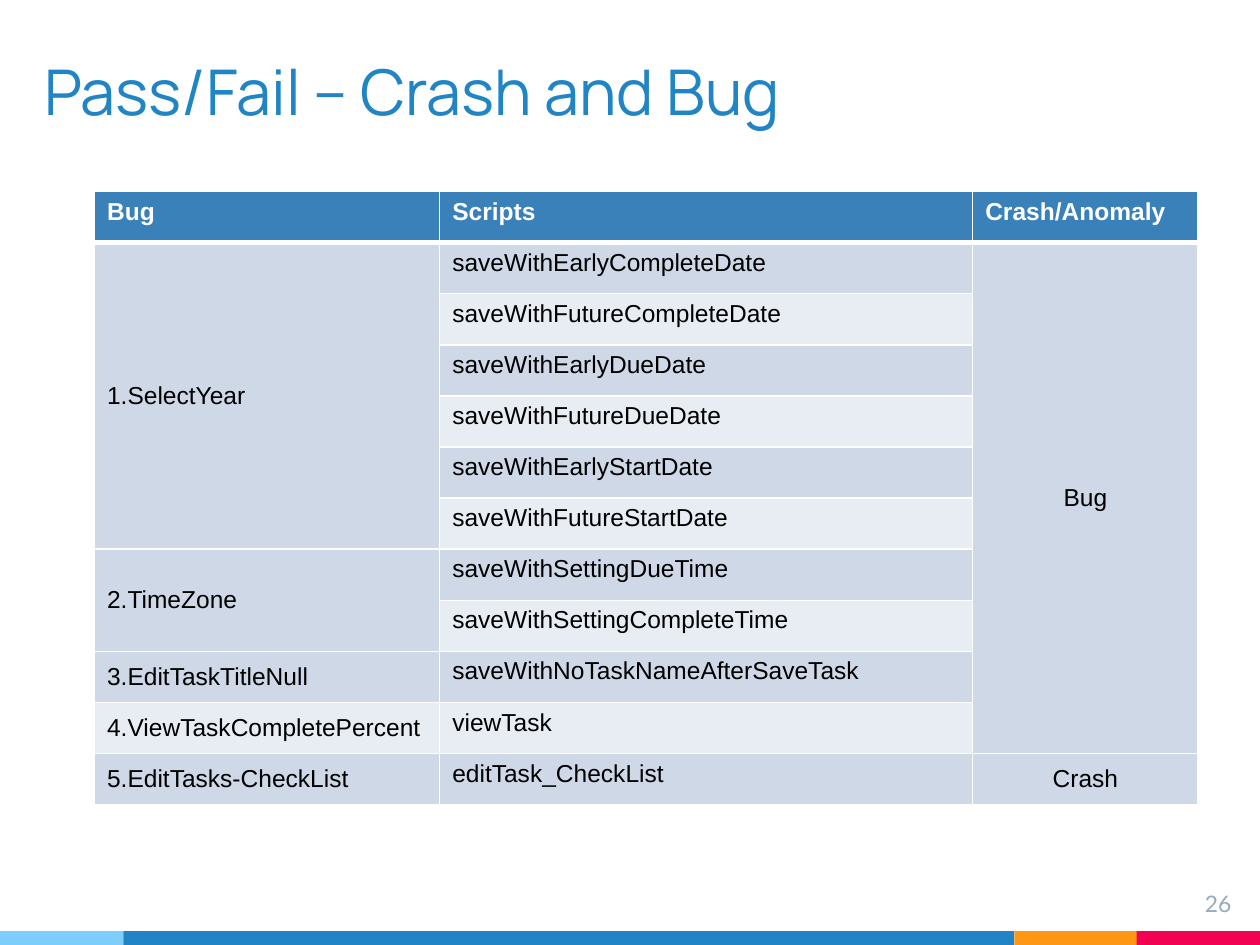
from lxml import etree
from pptx import Presentation
from pptx.dml.color import RGBColor
from pptx.enum.shapes import MSO_SHAPE
from pptx.enum.text import MSO_ANCHOR, PP_ALIGN
from pptx.oxml.ns import qn
from pptx.util import Inches, Pt

COLORS = {
    "blue": "2185C5",
    "sky": "7ECEFD",
    "orange": "FF9715",
    "red": "F20253",
    "gray": "97ABBC",
    "header": "3A81BA",
    "dark_band": "CED8E7",
    "light_band": "E8EDF3",
    "white": "FFFFFF",
    "black": "000000",
}
HEADINGS = ["Bug", "Scripts", "Crash/Anomaly"]
BUGS = [
    ("1.SelectYear", [
        "saveWithEarlyCompleteDate",
        "saveWithFutureCompleteDate",
        "saveWithEarlyDueDate",
        "saveWithFutureDueDate",
        "saveWithEarlyStartDate",
        "saveWithFutureStartDate",
    ]),
    ("2.TimeZone", ["saveWithSettingDueTime", "saveWithSettingCompleteTime"]),
    ("3.EditTaskTitleNull", ["saveWithNoTaskNameAfterSaveTask"]),
    ("4.ViewTaskCompletePercent", ["viewTask"]),
    ("5.EditTasks-CheckList", ["editTask_CheckList"]),
]
OUTCOMES = [("Bug", 10), ("Crash", 1)]
COLUMN_WIDTHS = [2.74, 4.23, 1.79]
ROW_HEIGHT = 4.87 / 12
FOOTER_BARS = [
    (0, 0.98, "sky"),
    (0.98, 7.07, "blue"),
    (8.05, 0.98, "orange"),
    (9.02, 0.98, "red"),
]


def rgb(name):
    """Return the named palette colour."""
    return RGBColor.from_string(COLORS[name])


def format_text(frame, font_name, size, color, bold=False, align=PP_ALIGN.LEFT):
    """Format the single paragraph of a text frame."""
    paragraph = frame.paragraphs[0]
    paragraph.alignment = align
    font = paragraph.font
    font.name, font.size, font.bold = font_name, Pt(size), bold
    font.color.rgb = rgb(color)


def set_insets(frame):
    """Give a text frame equal insets on all sides."""
    frame.margin_left = frame.margin_right = Inches(0.1)
    frame.margin_top = frame.margin_bottom = Inches(0.1)


def add_footer_bar(slide, left, width, color):
    """Add one coloured bar along the bottom edge."""
    bar = slide.shapes.add_shape(
        MSO_SHAPE.RECTANGLE, Inches(left), Inches(7.39), Inches(width), Inches(0.11))
    bar.shadow.inherit = False
    bar.fill.solid()
    bar.fill.fore_color.rgb = rgb(color)
    bar.line.fill.background()


def set_title(slide, text):
    """Place and format the slide title."""
    title = slide.shapes.title
    title.left, title.top = Inches(0.25), Inches(0.38)
    title.width, title.height = Inches(9.75), Inches(0.74)
    frame = title.text_frame
    frame.text = text
    frame.vertical_anchor = MSO_ANCHOR.BOTTOM
    set_insets(frame)
    format_text(frame, "Manrope", 36, "blue")


def add_page_number(slide, number):
    """Add the page number at the lower right."""
    box = slide.shapes.add_textbox(Inches(9.27), Inches(6.96), Inches(0.6), Inches(0.46))
    frame = box.text_frame
    frame.word_wrap = True
    frame.text = number
    set_insets(frame)
    format_text(frame, "Lato", 13, "gray", align=PP_ALIGN.RIGHT)


def style_cell(cell, fill, bottom_width=1, top_width=1):
    """Fill a cell and draw its white borders."""
    properties = cell._tc.get_or_add_tcPr()
    widths = {"a:lnL": 1, "a:lnR": 1, "a:lnT": top_width, "a:lnB": bottom_width}
    for tag, width in widths.items():
        line = etree.SubElement(properties, qn(tag), w=str(Pt(width)))
        solid = etree.SubElement(line, qn("a:solidFill"))
        etree.SubElement(solid, qn("a:srgbClr"), val=COLORS["white"])
    cell.fill.solid()
    cell.fill.fore_color.rgb = rgb(fill)


def write_cell(cell, text, color="black", bold=False, align=PP_ALIGN.LEFT,
               anchor=MSO_ANCHOR.TOP):
    """Write formatted text into a cell."""
    cell.text = text
    cell.vertical_anchor = anchor
    format_text(cell.text_frame, "Arial", 14, color, bold, align)


def write_groups(table, column, groups, align):
    """Merge and label consecutive row groups in a column."""
    row = 1
    for label, count in groups:
        cell = table.cell(row, column)
        if count > 1:
            cell.merge(table.cell(row + count - 1, column))
        write_cell(cell, label, align=align, anchor=MSO_ANCHOR.MIDDLE)
        row += count


def add_bug_table(slide):
    """Add the table of bugs, scripts and outcomes."""
    scripts = [script for _, group in BUGS for script in group]
    row_count = len(scripts) + 1
    table = slide.shapes.add_table(
        row_count, len(HEADINGS), Inches(0.75), Inches(1.52),
        Inches(sum(COLUMN_WIDTHS)), Inches(ROW_HEIGHT * row_count)).table
    for column, width in zip(table.columns, COLUMN_WIDTHS):
        column.width = Inches(width)
    for index, row in enumerate(table.rows):
        row.height = Inches(ROW_HEIGHT)
        band = "dark_band" if index % 2 else "light_band"
        for cell in row.cells:
            style_cell(cell, band if index else "header",
                       bottom_width=1 if index else 3,
                       top_width=3 if index == 1 else 1)
    for column, heading in enumerate(HEADINGS):
        write_cell(table.cell(0, column), heading, "white", bold=True)
    for row, script in enumerate(scripts, start=1):
        write_cell(table.cell(row, 1), script)
    write_groups(table, 0, [(bug, len(group)) for bug, group in BUGS], PP_ALIGN.LEFT)
    write_groups(table, 2, OUTCOMES, PP_ALIGN.CENTER)


def main():
    """Build and save the slide."""
    presentation = Presentation()
    presentation.slide_width, presentation.slide_height = Inches(10), Inches(7.5)
    slide = presentation.slides.add_slide(presentation.slide_layouts[5])
    for left, width, color in FOOTER_BARS:
        add_footer_bar(slide, left, width, color)
    set_title(slide, "Pass/Fail – Crash and Bug")
    add_page_number(slide, "26")
    add_bug_table(slide)
    presentation.save("out.pptx")


if __name__ == "__main__":
    main()
